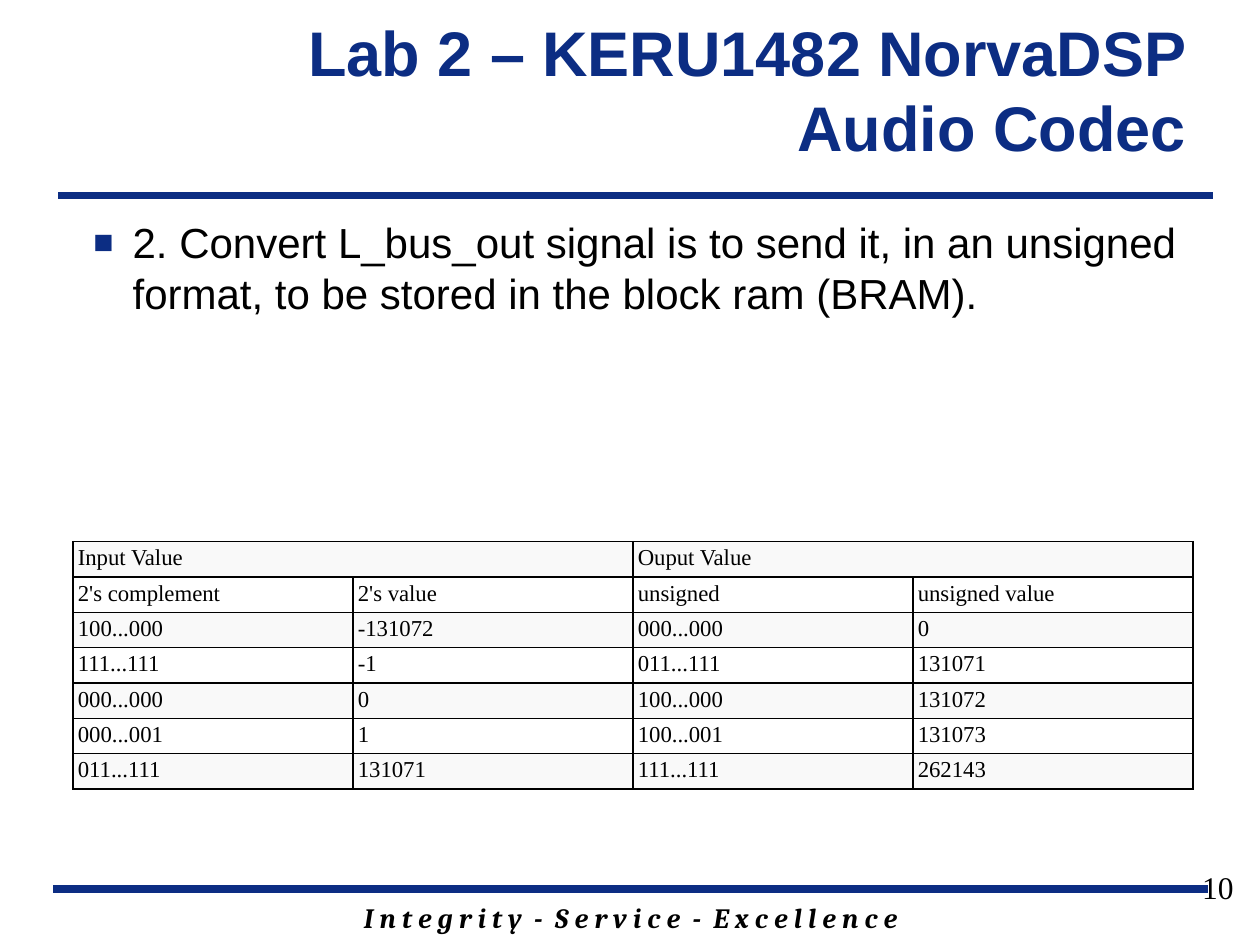
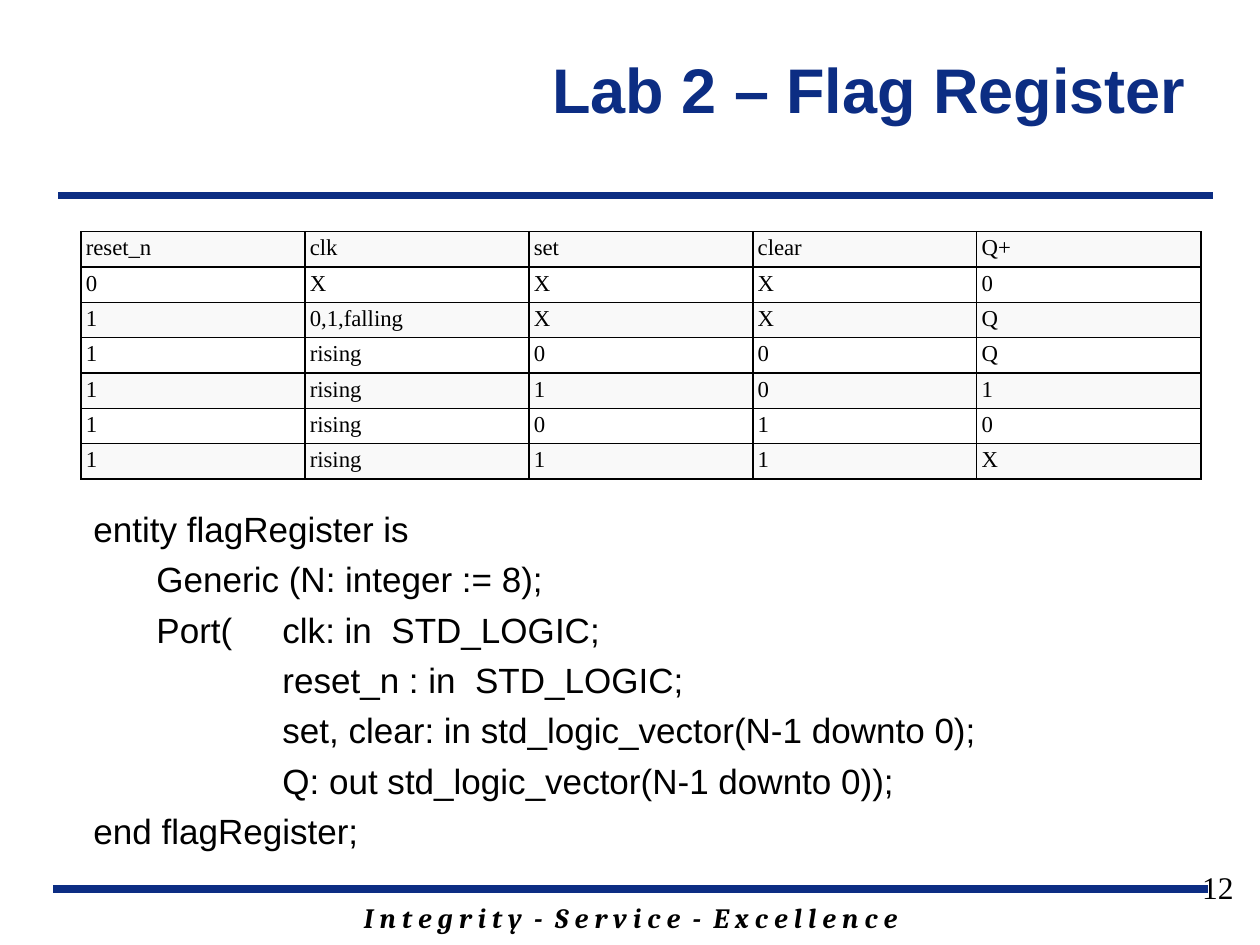
from lxml import etree
from pptx import Presentation
from pptx.dml.color import RGBColor
from pptx.enum.shapes import MSO_CONNECTOR
from pptx.enum.text import MSO_ANCHOR, MSO_AUTO_SIZE, PP_ALIGN
from pptx.oxml.ns import qn
from pptx.util import Cm, Pt

STRAIGHT = MSO_CONNECTOR.STRAIGHT
MIDDLE = MSO_ANCHOR.MIDDLE
NO_FIT = MSO_AUTO_SIZE.NONE
LEFT, CENTER, RIGHT = PP_ALIGN.LEFT, PP_ALIGN.CENTER, PP_ALIGN.RIGHT

NAVY, BLACK, WHITE, PALE = "0C2D83", "000000", "FFFFFF", "F9F9F9"
SANS, SERIF, MOTTO_FONT = "Arial", "Times New Roman", "Cambria"

MOTTO = "I n t e g r i t y  -  S e r v i c e  -  E x c e l l e n c e"
RULES = [(1.17, 3.94), (1.07, 17.93)]  # left, height on the slide
RULE_WIDTH = 23.28
TABLE_WIDTH, ROW_HEIGHT = 22.58, 0.71
TAB_STEP = 2.54

CONVERSION = {
    "title": "Lab 2 – KERU1482 NorvaDSP Audio Codec",
    "number": "10",
    "body": ["2. Convert L_bus_out signal is to send it, in an unsigned format, "
             "to be stored in the block ram (BRAM).\u00a0"],
    "body_box": (1.63, 4.24, 22.58, 12.01),
    "body_size": 24,
    "bulleted": True,
    "table_at": (1.47, 10.92),
    # None continues the cell on its left
    "rows": [
        ("Input Value", None, "Ouput Value", None),
        ("2's complement", "2's value", "unsigned", "unsigned value"),
        ("100...000", "-131072", "000...000", "0"),
        ("111...111", "-1", "011...111", "131071"),
        ("000...000", "0", "100...000", "131072"),
        ("000...001", "1", "100...001", "131073"),
        ("011...111", "131071", "111...111", "262143"),
    ],
}

FLAG_REGISTER = {
    "title": "Lab 2 – Flag Register",
    "number": "12",
    "body": [
        "entity flagRegister is",
        "\tGeneric (N: integer := 8);",
        "\tPort(\tclk: in  STD_LOGIC;",
        "\t\t\treset_n : in  STD_LOGIC;",
        "\t\t\tset, clear: in std_logic_vector(N-1 downto 0);",
        "\t\t\tQ: out std_logic_vector(N-1 downto 0));",
        "end flagRegister;",
    ],
    "body_box": (1.63, 10.1, 22.58, 7.2),
    "body_size": 20,
    "bulleted": False,
    "table_at": (1.63, 4.67),
    "rows": [
        ("reset_n", "clk", "set", "clear", "Q+"),
        ("0", "X", "X", "X", "0"),
        ("1", "0,1,falling", "X", "X", "Q"),
        ("1", "rising", "0", "0", "Q"),
        ("1", "rising", "1", "0", "1"),
        ("1", "rising", "0", "1", "0"),
        ("1", "rising", "1", "1", "X"),
    ],
}


def rgb(color):
    return RGBColor.from_string(color)


def child(parent, tag, **attrs):
    return etree.SubElement(parent, qn(tag), {k: str(v) for k, v in attrs.items()})


def place(shape, box):
    shape.left, shape.top, shape.width, shape.height = (Cm(v) for v in box)


def style(p, font, size, color=BLACK, align=LEFT, bold=False, italic=False):
    p.alignment = align
    for r in p.runs:
        f = r.font
        f.name, f.size, f.bold, f.italic = font, Pt(size), bold, italic
        f.color.rgb = rgb(color)


def add_label(s, box, text, *args, **kwargs):
    sp = s.shapes.add_textbox(*(Cm(v) for v in box))
    tf = sp.text_frame
    tf.word_wrap = True
    tf.text = text
    style(tf.paragraphs[0], *args, **kwargs)


def add_rule(s, left, y):
    line = s.shapes.add_connector(STRAIGHT, Cm(left), Cm(y), Cm(left + RULE_WIDTH), Cm(y))
    line.line.color.rgb = rgb(NAVY)
    line.line.width = Pt(4.5)
    child(line._element.spPr, "a:effectLst")


def add_frame(s, title, number):
    """Put the title, rules, motto and slide number on a slide."""
    for left, y in RULES:
        add_rule(s, left, y)
    add_label(s, (3.61, 18.03, 18.21, 0.94), MOTTO, MOTTO_FONT, 16,
              align=CENTER, bold=True, italic=True)
    add_label(s, (19.2, 17.37, 5.92, 1.32), number, SERIF, 18, align=RIGHT)
    sp = s.shapes.title
    place(sp, (5.31, 0.2, 18.85, 3.18))
    tf = sp.text_frame
    tf.text = title
    tf.vertical_anchor = MIDDLE
    tf.auto_size = NO_FIT
    style(tf.paragraphs[0], SANS, 36, NAVY, RIGHT, bold=True)


def set_bullet(p, bulleted):
    """Give a square bullet, or none with evenly spaced tab stops."""
    pPr = p._p.get_or_add_pPr()
    indent = Cm(0.79) if bulleted else 0
    pPr.set("marL", str(indent))
    pPr.set("indent", str(-indent))
    if bulleted:
        child(child(pPr, "a:buClr"), "a:srgbClr", val=NAVY)
        child(pPr, "a:buSzPct", val=80000)
        child(pPr, "a:buFont", typeface=SANS)
        child(pPr, "a:buChar", char="■")
    else:
        child(pPr, "a:buNone")
        tabs = child(pPr, "a:tabLst")
        for i in range(1, 4):
            child(tabs, "a:tab", pos=Cm(TAB_STEP * i), algn="l")


def fill_body(s, lines, box, size, bulleted):
    sp = s.placeholders[1]
    place(sp, box)
    tf = sp.text_frame
    tf.text = "\n".join(lines)
    tf.auto_size = NO_FIT
    for p in tf.paragraphs:
        style(p, SANS, size)
        p.space_before = Pt(size * 0.24)
        set_bullet(p, bulleted)


def format_cell(cell, fill):
    cell.margin_left = cell.margin_right = Cm(0.1)
    cell.margin_top = cell.margin_bottom = Cm(0.08)
    tcPr = cell._tc.get_or_add_tcPr()
    for side in "LRTB":
        ln = child(tcPr, f"a:ln{side}", w=Pt(1))
        child(child(ln, "a:solidFill"), "a:srgbClr", val=BLACK)
    cell.fill.solid()
    cell.fill.fore_color.rgb = rgb(fill)
    style(cell.text_frame.paragraphs[0], SERIF, 13)


def add_grid(s, at, rows):
    n_rows, n_cols = len(rows), len(rows[0])
    left, top = at
    table = s.shapes.add_table(n_rows, n_cols, Cm(left), Cm(top), Cm(TABLE_WIDTH),
                               Cm(ROW_HEIGHT * n_rows)).table
    table.first_row = table.horz_banding = False
    for i, row in enumerate(rows):
        for j, text in enumerate(row):
            cell = table.cell(i, j)
            if text is None:
                table.cell(i, j - 1).merge(cell)
            else:
                cell.text = text
            format_cell(cell, WHITE if i % 2 else PALE)


def main():
    prs = Presentation()
    prs.slide_width, prs.slide_height = Cm(25.4), Cm(19.05)
    for content in (CONVERSION, FLAG_REGISTER):
        s = prs.slides.add_slide(prs.slide_layouts[1])
        add_frame(s, content["title"], content["number"])
        fill_body(s, content["body"], content["body_box"], content["body_size"],
                  content["bulleted"])
        add_grid(s, content["table_at"], content["rows"])
    prs.save("out.pptx")


if __name__ == "__main__":
    main()
